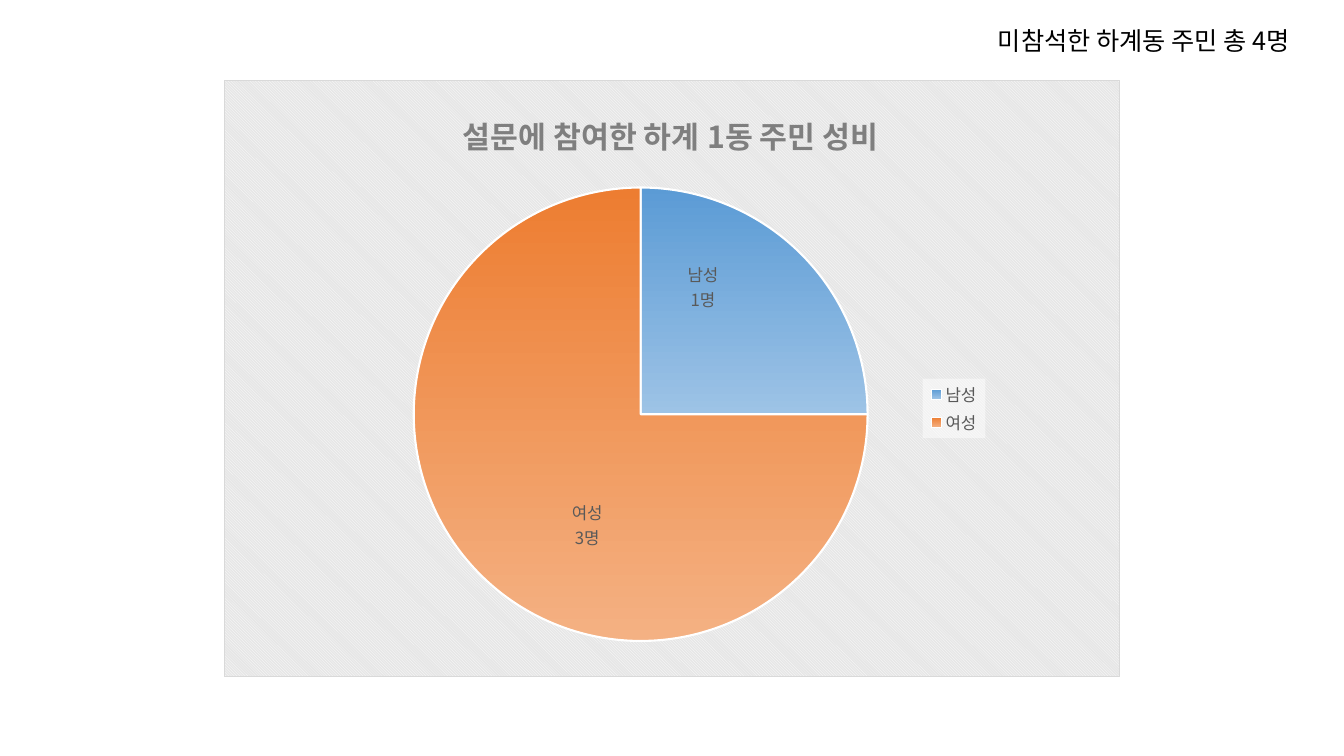
"""Build a slide with a pie chart of survey participants by gender."""
from lxml import etree
from pptx import Presentation
from pptx import util as u
from pptx.chart.data import CategoryChartData
from pptx.dml.color import RGBColor
from pptx.enum import chart as ch, text
from pptx.oxml import parse_xml
from pptx.oxml.ns import nsdecls, qn

FONT = "Noto Sans CJK KR"
COLORS = {"black": "000000", "white": "FFFFFF", "panel": "E6E6E6", "border": "D9D9D9",
          "title": "7F7F7F", "label": "595959"}
NOTE = "미참석한 하계동 주민 총 4명"
TITLE = "설문에 참여한 하계 1동 주민 성비"
GENDERS = [
    {"name": "남성", "count": 1, "gradient": ("5B9BD5", "9DC3E6"), "offset": (-0.02, -0.08)},
    {"name": "여성", "count": 3, "gradient": ("ED7D31", "F4B183"), "offset": (0.03, 0.05)},
]
NOTE_BOX = (9.8, 0.2, 3.47, 0.4)
CHART_BOX = (2.22, 0.79, 8.89, 5.93)
TITLE_LAYOUT = {"xMode": "edge", "yMode": "edge", "x": 0.26, "y": 0.04}
PLOT_LAYOUT = {"layoutTarget": "inner", "xMode": "edge", "yMode": "edge",
               "x": 0.21, "y": 0.18, "w": 0.51, "h": 0.76}
LEGEND_LAYOUT = {"xMode": "edge", "yMode": "edge", "x": 0.78, "y": 0.5, "w": 0.07, "h": 0.1}


def style(font, size, color, bold=False):
    font.name, font.size, font.bold = FONT, u.Pt(size), bold
    font.color.rgb = RGBColor.from_string(COLORS[color])


def add_run(paragraph, words, size, color, bold=False):
    run = paragraph.add_run()
    run.text = words
    style(run.font, size, color, bold)


def make_layout(parent, settings):
    """Return a manual layout that replaces any layout of the chart element."""
    for old in parent.findall(qn("c:layout")):
        parent.remove(old)
    layout = etree.Element(qn("c:layout"))
    manual = etree.SubElement(layout, qn("c:manualLayout"))
    for key, value in settings.items():
        etree.SubElement(manual, qn(f"c:{key}")).set("val", str(value))
    return layout


def add_note(slide):
    box = slide.shapes.add_textbox(*map(u.Inches, NOTE_BOX))
    frame = box.text_frame
    frame.word_wrap = False
    frame.auto_size = text.MSO_AUTO_SIZE.SHAPE_TO_FIT_TEXT
    add_run(frame.paragraphs[0], NOTE, 18, "black")


def style_slices(series):
    for index, gender in enumerate(GENDERS):
        point = series.points[index]
        fill = point.format.fill
        fill.gradient()
        fill.gradient_angle = 270
        for stop, color, position in zip(fill.gradient_stops, gender["gradient"], (0, 1)):
            stop.color.rgb = RGBColor.from_string(color)
            stop.position = position
        point.format.line.color.rgb = RGBColor.from_string(COLORS["white"])
        point.format.line.width = u.Pt(1.5)

        label = point.data_label
        frame = label.text_frame
        add_run(frame.paragraphs[0], gender["name"], 12, "label")
        add_run(frame.add_paragraph(), f"{gender['count']}명", 12, "label")
        label.position = ch.XL_LABEL_POSITION.CENTER


def arrange_parts(root):
    for leader in root.iter(qn("c:showLeaderLines")):
        leader.set("val", "0")
    for label, gender in zip(root.iter(qn("c:dLbl")), GENDERS):
        label.find(qn("c:showCatName")).set("val", "1")
        layout = make_layout(label, dict(zip("xy", gender["offset"])))
        label.find(qn("c:idx")).addnext(layout)
    title = root.find(".//" + qn("c:title"))
    title.find(qn("c:tx")).addnext(make_layout(title, TITLE_LAYOUT))
    legend = root.find(".//" + qn("c:legend"))
    legend.find(qn("c:legendPos")).addnext(make_layout(legend, LEGEND_LAYOUT))
    area = root.find(".//" + qn("c:plotArea"))
    area.insert(0, make_layout(area, PLOT_LAYOUT))


def fill_backgrounds(root):
    legend = root.find(".//" + qn("c:legend"))
    legend.find(qn("c:overlay")).addnext(parse_xml(
        f'<c:spPr {nsdecls("c", "a")}><a:solidFill><a:srgbClr val="{COLORS["white"]}">'
        '<a:alpha val="50000"/></a:srgbClr></a:solidFill></c:spPr>'))
    root.find(qn("c:chart")).addnext(parse_xml(
        f'<c:spPr {nsdecls("c", "a")}><a:pattFill prst="dkDnDiag">'
        f'<a:fgClr><a:srgbClr val="{COLORS["white"]}"/></a:fgClr>'
        f'<a:bgClr><a:srgbClr val="{COLORS["panel"]}"/></a:bgClr></a:pattFill>'
        f'<a:ln w="{u.Pt(0.75)}"><a:solidFill><a:srgbClr val="{COLORS["border"]}"/>'
        '</a:solidFill></a:ln></c:spPr>'))


def add_gender_chart(slide):
    data = CategoryChartData()
    data.categories = [gender["name"] for gender in GENDERS]
    data.add_series("Series 1", [gender["count"] for gender in GENDERS])
    chart = slide.shapes.add_chart(ch.XL_CHART_TYPE.PIE, *map(u.Inches, CHART_BOX), data).chart
    style(chart.font, 10, "black")
    chart.has_title = True
    add_run(chart.chart_title.text_frame.paragraphs[0], TITLE, 21.6, "title", True)
    chart.has_legend = True
    chart.legend.position = ch.XL_LEGEND_POSITION.RIGHT
    chart.legend.include_in_layout = False
    style(chart.legend.font, 12, "label")

    plot = chart.plots[0]
    plot.vary_by_categories = True
    series = plot.series[0]
    style_slices(series)
    labels = series.data_labels
    style(labels.font, 12, "label")
    labels.show_value = labels.show_category_name = True
    arrange_parts(chart.element)
    fill_backgrounds(chart.element)


def main():
    presentation = Presentation()
    presentation.slide_width, presentation.slide_height = u.Inches(13.33), u.Inches(7.5)
    slide = presentation.slides.add_slide(presentation.slide_layouts[6])
    add_gender_chart(slide)
    add_note(slide)
    presentation.save("out.pptx")


if __name__ == "__main__":
    main()
